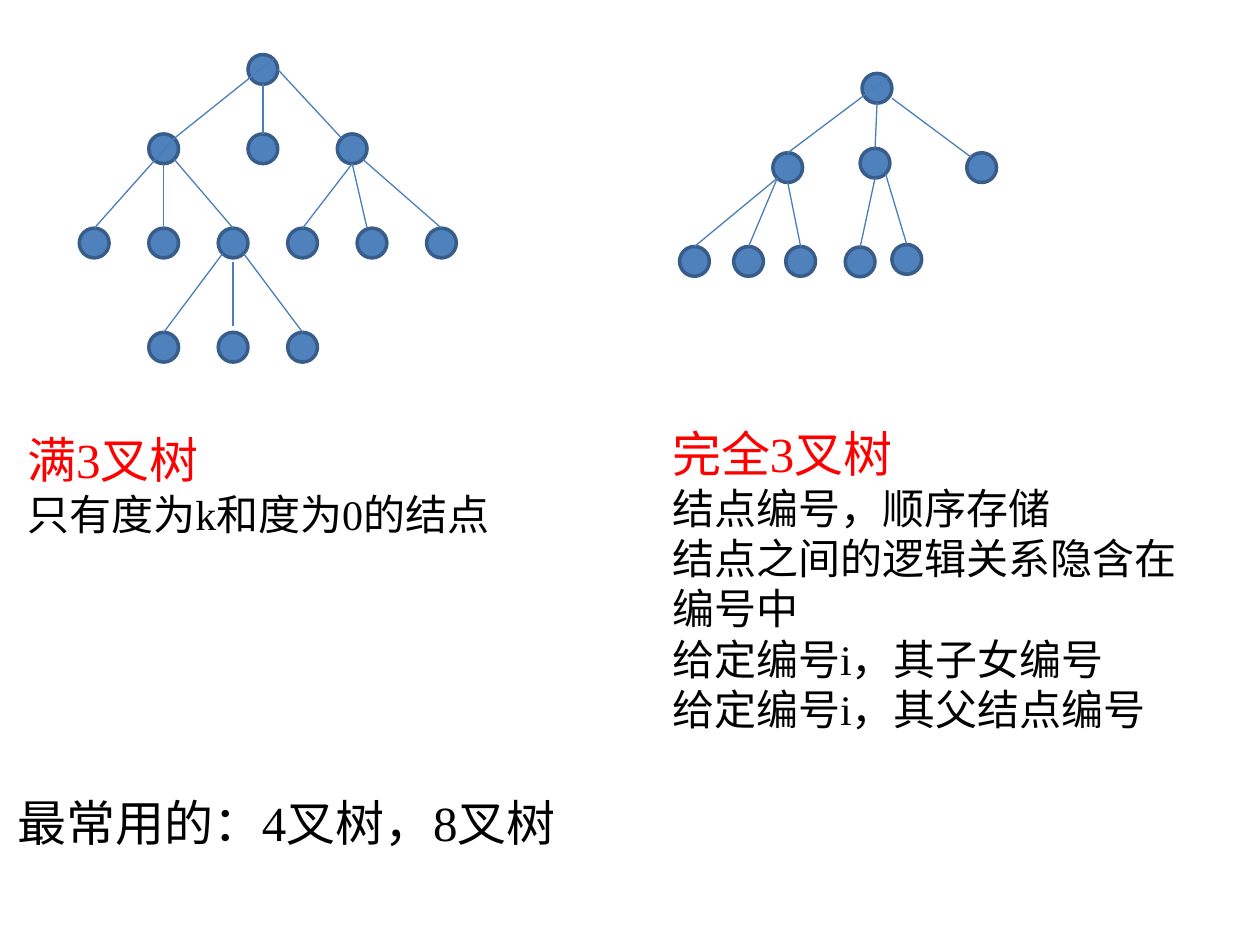
from lxml.etree import SubElement
from pptx import Presentation
from pptx.dml.color import RGBColor
from pptx.enum.shapes import MSO_CONNECTOR, MSO_SHAPE
from pptx.oxml.ns import qn
from pptx.util import Cm, Pt

DIAMETER = 0.6
RADIUS = DIAMETER / 2
DIAGONAL = 0.21
PORTS = {
    "N": (0, -RADIUS), "S": (0, RADIUS), "E": (RADIUS, 0),
    "NE": (DIAGONAL, -DIAGONAL), "NW": (-DIAGONAL, -DIAGONAL),
    "SE": (DIAGONAL, DIAGONAL), "SW": (-DIAGONAL, DIAGONAL),
    "ESE": (RADIUS, 0.2), "NNW": (-0.1, -RADIUS),
    "above": (0, -0.42), "below": (0, 0.38),
}

FULL_NODES = {
    "root": (5.3, 1.4),
    "a": (3.3, 3), "b": (5.3, 3), "c": (7.1, 3),
    **{name: (1.9 + 1.4 * i, 4.9)
       for i, name in enumerate(["a1", "a2", "a3", "c1", "c2", "c3"])},
    **{name: (3.3 + 1.4 * i, 7) for i, name in enumerate(["a31", "a32", "a33"])},
}
FULL_EDGES = [
    ("root", "NE", "a", "NE"), ("root", "S", "b", "N"), ("root", "E", "c", "NW"),
    ("a", "NE", "a1", "N"), ("a", "S", "a2", "N"), ("a", "SE", "a3", "N"),
    ("c", "S", "c1", "N"), ("c", "S", "c2", "NNW"), ("c", "SE", "c3", "N"),
    ("a3", "SW", "a31", "N"), ("a3", "below", "a32", "above"),
    ("a3", "SE", "a33", "N"),
]

COMPLETE_NODES = {
    "root": (17.68, 1.78),
    "a": (15.88, 3.38), "b": (17.64, 3.29), "c": (19.79, 3.38),
    "a1": (14, 5.27), "a2": (15.09, 5.27), "a3": (16.14, 5.27),
    "b1": (17.34, 5.28), "b2": (18.28, 5.23),
}
COMPLETE_EDGES = [
    ("root", "NE", "a", "N"), ("root", "S", "b", "N"), ("root", "ESE", "c", "NW"),
    ("a", "SW", "a1", "N"), ("a", "SW", "a2", "N"), ("a", "S", "a3", "N"),
    ("b", "S", "b1", "N"), ("b", "SE", "b2", "N"),
]


def color(value):
    return RGBColor.from_string(value)


def add_node(tree, x, y):
    node = tree.shapes.add_shape(
        MSO_SHAPE.OVAL, Cm(x - RADIUS), Cm(y - RADIUS), Cm(DIAMETER), Cm(DIAMETER))
    node.shadow.inherit = False
    node.fill.solid()
    node.fill.fore_color.rgb = color("4F81BD")
    node.line.color.rgb = color("385D8A")
    node.line.width = Pt(2)


def add_edge(tree, start, end):
    edge = tree.shapes.add_connector(
        MSO_CONNECTOR.STRAIGHT, *(Cm(value) for value in (*start, *end)))
    edge.line.color.rgb = color("4A7EBB")
    edge.line.width = Pt(0.75)
    SubElement(edge._element.spPr, qn("a:effectLst"))


def port_position(nodes, name, port):
    x, y = nodes[name]
    dx, dy = PORTS[port]
    return x + dx, y + dy


def add_tree(slide, nodes, edges):
    tree = slide.shapes.add_group_shape()
    for x, y in nodes.values():
        add_node(tree, x, y)
    for parent, exit_port, child, entry_port in edges:
        add_edge(tree, port_position(nodes, parent, exit_port),
                 port_position(nodes, child, entry_port))


def add_text(slide, left, top, width, height, lines, wrap=False):
    frame = slide.shapes.add_textbox(
        Cm(left), Cm(top), Cm(width), Cm(height)).text_frame
    frame.word_wrap = wrap
    for i, (wording, size, ink) in enumerate(lines):
        paragraph = frame.add_paragraph() if i else frame.paragraphs[0]
        paragraph.text = wording
        paragraph.font.name = "Times New Roman"
        paragraph.font.size = Pt(size)
        paragraph.font.color.rgb = color(ink)


def add_explanation(slide, left, top, width, height, title, details, wrap=False):
    lines = [(title, 28, "FF0000")] + [(detail, 24, "000000") for detail in details]
    add_text(slide, left, top, width, height, lines, wrap)


def main():
    presentation = Presentation()
    presentation.slide_width = Cm(25.4)
    presentation.slide_height = Cm(19.05)
    slide = presentation.slides.add_slide(presentation.slide_layouts[6])

    add_tree(slide, FULL_NODES, FULL_EDGES)
    add_explanation(slide, 0.3, 8.53, 10.62, 2.46,
                    "满3叉树", ["只有度为k和度为0的结点"])
    add_tree(slide, COMPLETE_NODES, COMPLETE_EDGES)
    add_explanation(slide, 13.3, 8.41, 11.4, 6.53, "完全3叉树", [
        "结点编号，顺序存储",
        "结点之间的逻辑关系隐含在编号中",
        "给定编号i，其子女编号",
        "给定编号i，其父结点编号",
    ], wrap=True)
    add_text(slide, 0.1, 15.85, 12.29, 1.45,
             [("最常用的：4叉树，8叉树", 28, "000000")])

    presentation.save("out.pptx")


if __name__ == "__main__":
    main()
